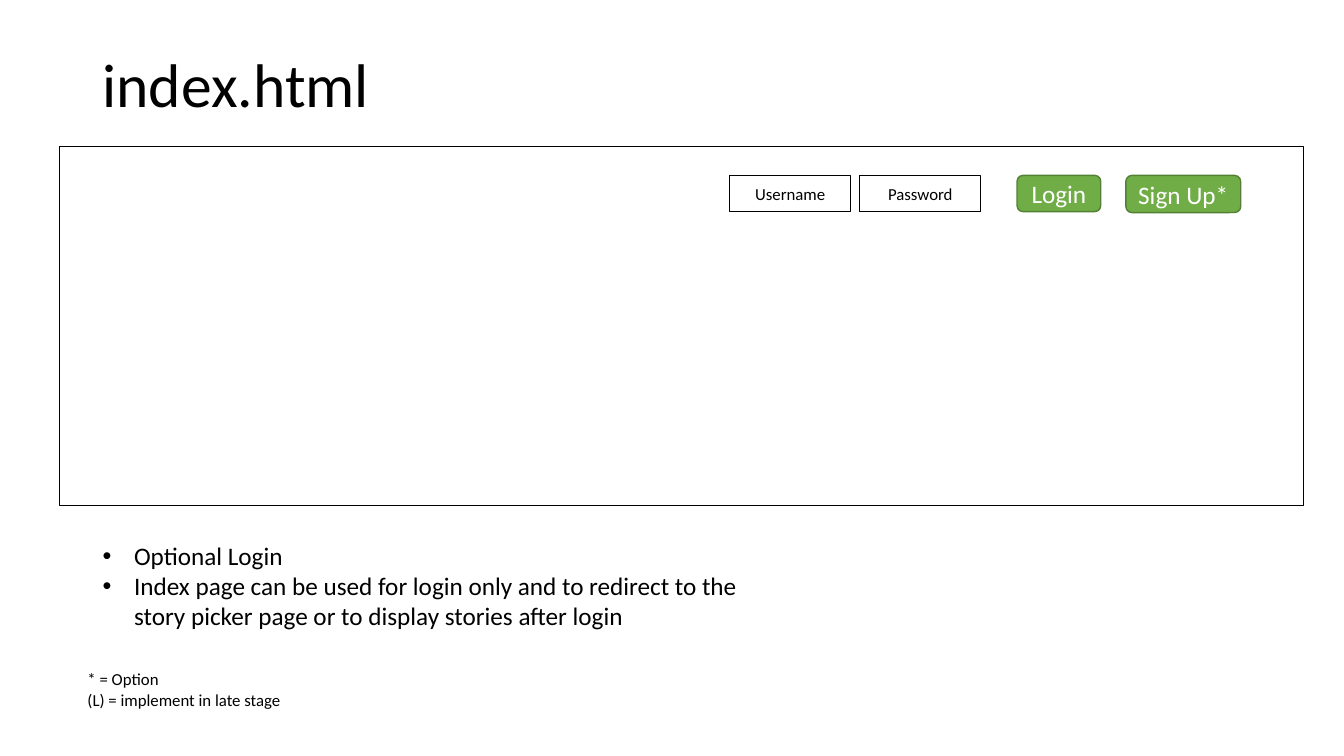
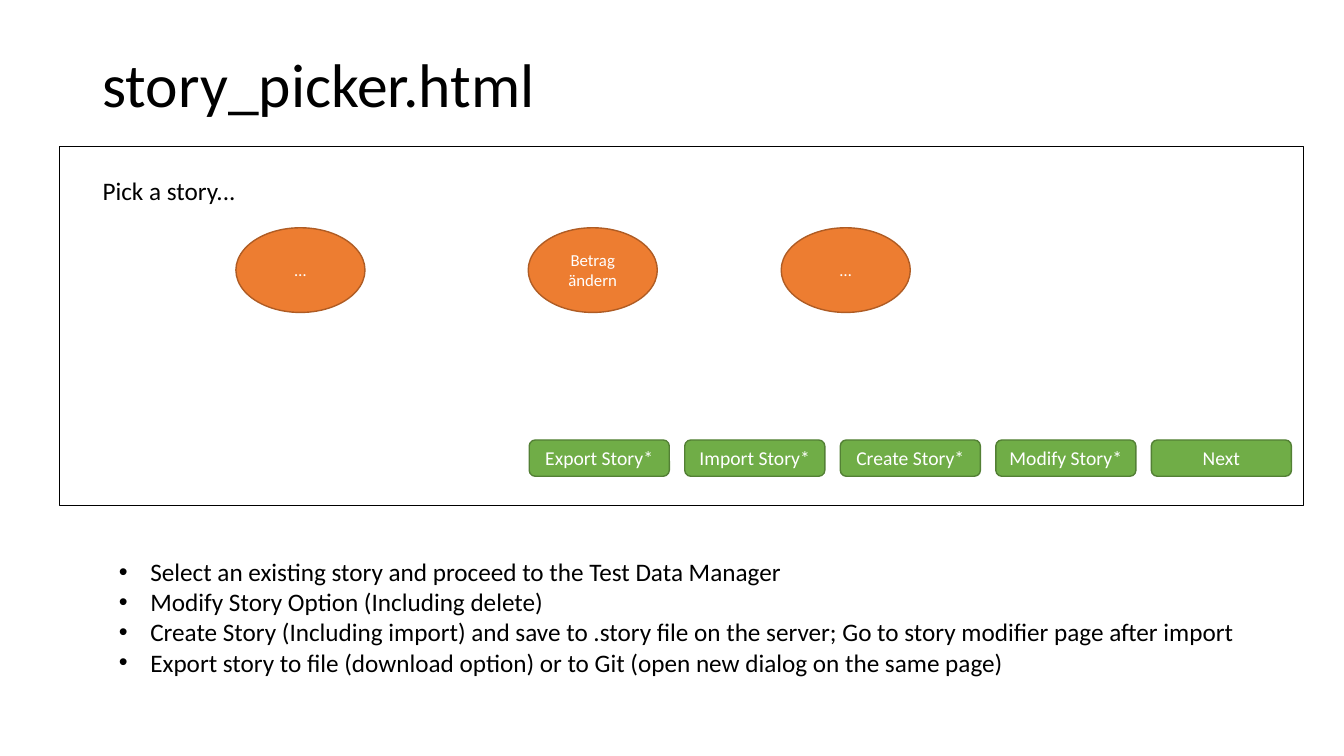
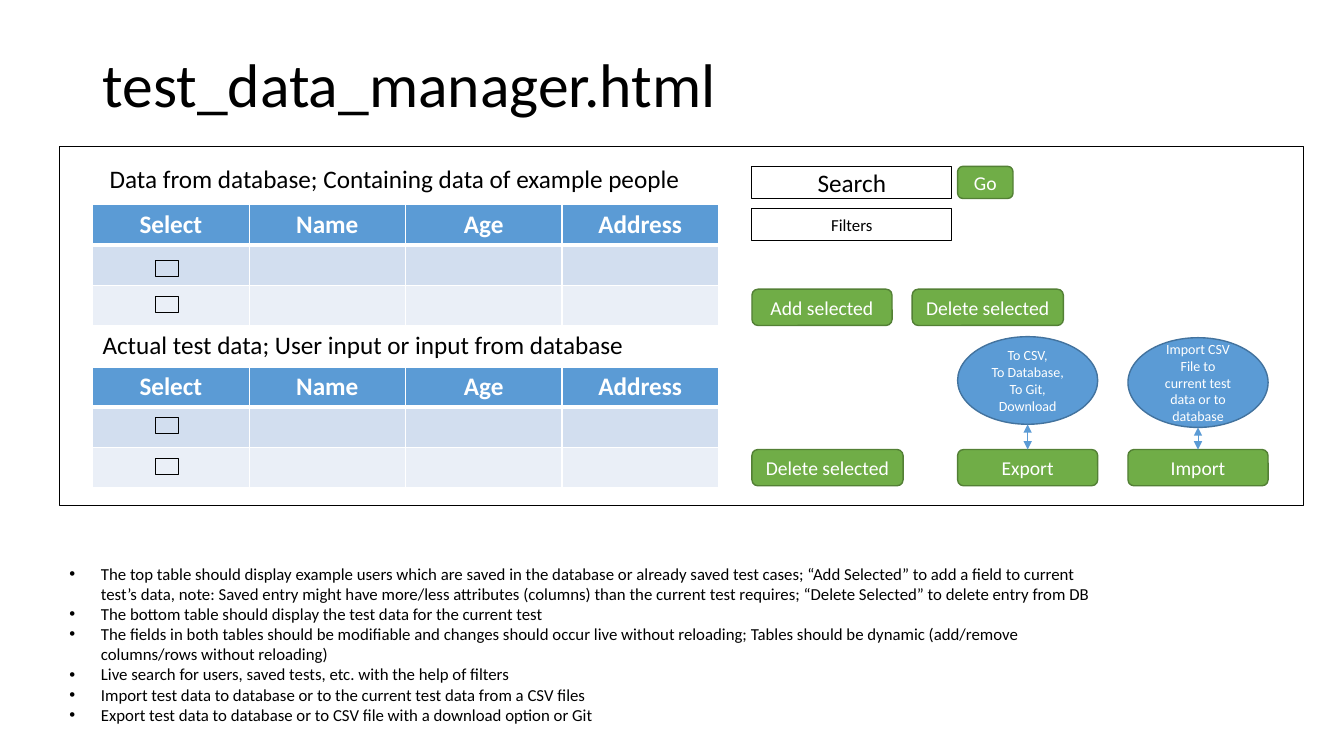
"""Build three wireframe slides for a story and test data web tool."""
from dataclasses import dataclass
from typing import Optional

from lxml import etree
from pptx import Presentation
from pptx import util as u
from pptx.dml.color import RGBColor
from pptx.enum import shapes, text
from pptx.oxml import ns

FONT = "Calibri"
BLACK, WHITE = "000000", "FFFFFF"
GREEN, BLUE, ORANGE = "70AD47", "5B9BD5", "ED7D31"
BODY_FILLS = ("D2DEEF", "EAEFF7")
COLUMNS = ("Select", "Name", "Age", "Address")
COLUMN_WIDTH, ROW_HEIGHT = 111.75, 28.8
BULLET_INDENT = 22.5
BUTTON_WIDTH, BUTTON_HEIGHT = 100.1, 25.9
PRESETS = shapes.MSO_SHAPE


@dataclass(frozen=True)
class Look:
    preset: int
    fill: Optional[str]
    border: str
    weight: float
    ink: str


@dataclass(frozen=True)
class Part:
    look: Look
    wording: str
    left: float
    top: float
    width: float = BUTTON_WIDTH
    height: float = BUTTON_HEIGHT
    size: float = 14


@dataclass(frozen=True)
class Note:
    lines: tuple[str, ...]
    left: float
    top: float
    width: float
    height: float
    size: float = 18
    bullets: bool = False


OUTLINE = Look(PRESETS.RECTANGLE, None, BLACK, 0.75, BLACK)
BUTTON = Look(PRESETS.ROUNDED_RECTANGLE, GREEN, "538035", 1, WHITE)
STORY = Look(PRESETS.OVAL, ORANGE, "AF5C24", 1, WHITE)
HINT = Look(PRESETS.OVAL, BLUE, "43739E", 1, WHITE)


def color(value: str) -> RGBColor:
    return RGBColor.from_string(value)


def box(left: float, top: float, width: float, height: float) -> tuple:
    return tuple(u.Pt(length) for length in (left, top, width, height))


def add_bullet(paragraph) -> None:
    properties = paragraph._p.get_or_add_pPr()
    properties.set("marL", str(u.Pt(BULLET_INDENT)))
    properties.set("indent", str(-u.Pt(BULLET_INDENT)))
    etree.SubElement(properties, ns.qn("a:buFont"), typeface="Arial")
    etree.SubElement(properties, ns.qn("a:buChar"), char="•")


def write(frame, *lines: str, size: float = 18, ink: str = BLACK, bold: bool = False,
          align=text.PP_ALIGN.LEFT, anchor=text.MSO_ANCHOR.TOP,
          spacing: Optional[float] = None, bullets: bool = False) -> None:
    frame.word_wrap = True
    frame.vertical_anchor = anchor
    for index, line in enumerate(lines):
        paragraph = frame.add_paragraph() if index else frame.paragraphs[0]
        paragraph.alignment = align
        if spacing:
            paragraph.line_spacing = spacing
        if bullets:
            add_bullet(paragraph)
        run = paragraph.add_run()
        run.text = line
        run.font.name, run.font.size, run.font.bold = FONT, u.Pt(size), bold
        run.font.color.rgb = color(ink)


def draw_part(slide, part: Part) -> None:
    look = part.look
    shape = slide.shapes.add_shape(
        look.preset, *box(part.left, part.top, part.width, part.height))
    shape.shadow.inherit = False
    if look.fill:
        shape.fill.solid()
        shape.fill.fore_color.rgb = color(look.fill)
    else:
        shape.fill.background()
    shape.line.color.rgb = color(look.border)
    shape.line.width = u.Pt(look.weight)
    if part.wording:
        write(shape.text_frame, *part.wording.split("\n"), size=part.size, ink=look.ink,
              align=text.PP_ALIGN.CENTER, anchor=text.MSO_ANCHOR.MIDDLE)


def draw_note(slide, note: Note) -> None:
    frame = slide.shapes.add_textbox(
        *box(note.left, note.top, note.width, note.height)).text_frame
    write(frame, *note.lines, size=note.size, bullets=note.bullets)
    frame.auto_size = text.MSO_AUTO_SIZE.SHAPE_TO_FIT_TEXT


def draw_all(slide, *items: Part | Note) -> None:
    for item in items:
        if isinstance(item, Part):
            draw_part(slide, item)
        else:
            draw_note(slide, item)


def draw_arrow(slide, x: float, top: float, bottom: float) -> None:
    arrow = slide.shapes.add_connector(
        shapes.MSO_CONNECTOR.STRAIGHT, *box(x, top, x, bottom))
    arrow.line.color.rgb = color(BLUE)
    arrow.line.width = u.Pt(0.5)
    line = arrow.line._get_or_add_ln()
    for end in ("a:headEnd", "a:tailEnd"):
        etree.SubElement(line, ns.qn(end), type="triangle")
    etree.SubElement(arrow._element.spPr, ns.qn("a:effectLst"))


def border_cell(cell, top: float, bottom: float) -> None:
    properties = cell._tc.get_or_add_tcPr()
    edges = (("a:lnL", 1), ("a:lnR", 1), ("a:lnT", top), ("a:lnB", bottom))
    for position, (edge, weight) in enumerate(edges):
        line = etree.Element(ns.qn(edge), w=str(u.Pt(weight)))
        fill = etree.SubElement(line, ns.qn("a:solidFill"))
        etree.SubElement(fill, ns.qn("a:srgbClr"), val=WHITE)
        properties.insert(position, line)


def draw_people_table(slide, left: float, top: float) -> None:
    fills = (BLUE, *BODY_FILLS)
    table = slide.shapes.add_table(
        len(fills), len(COLUMNS),
        *box(left, top, COLUMN_WIDTH * len(COLUMNS), ROW_HEIGHT * len(fills))).table
    table.first_row = table.horz_banding = False
    for column in table.columns:
        column.width = u.Pt(COLUMN_WIDTH)
    for row_index, fill in enumerate(fills):
        table.rows[row_index].height = u.Pt(ROW_HEIGHT)
        for column_index, heading in enumerate(COLUMNS):
            cell = table.cell(row_index, column_index)
            cell.fill.solid()
            cell.fill.fore_color.rgb = color(fill)
            border_cell(cell, top=3 if row_index == 1 else 1,
                        bottom=3 if row_index == 0 else 1)
            if row_index == 0:
                write(cell.text_frame, heading, ink=WHITE, bold=True,
                      align=text.PP_ALIGN.CENTER)


def add_page(deck, title: str):
    slide = deck.slides.add_slide(deck.slide_layouts[6])
    heading = slide.shapes.add_textbox(*box(66.2, 28.8, 828, 67.7))
    write(heading.text_frame, title, size=44, spacing=0.9, anchor=text.MSO_ANCHOR.MIDDLE)
    draw_part(slide, Part(OUTLINE, "", 42.5, 104.4, 888.5, 257))
    return slide


def build_index(deck) -> None:
    slide = add_page(deck, "index.html")
    draw_all(
        slide,
        Part(OUTLINE, "Username", 521.3, 125.3, 86.4, size=12),
        Part(OUTLINE, "Password", 614.2, 125.3, 86.4, size=12),
        Part(BUTTON, "Login", 726.5, 125.3, 59.8, size=18),
        Part(BUTTON, "Sign Up*", 804.2, 125.3, 82.1, 26.6, 18),
        Note(("Optional Login",
              "Index page can be used for login only and to redirect to the story picker "
              "page or to display stories after login"),
             66.2, 382.3, 485.3, 72.7, bullets=True),
        Note(("* = Option", "(L) = implement in late stage"),
             55.4, 474.5, 327.6, 36, size=12),
    )


def build_story_picker(deck) -> None:
    slide = add_page(deck, "story_picker.html")
    actions = ("Export Story*", "Import Story*", "Create Story*", "Modify Story*", "Next")
    stories = (("…", 168.5), ("Betrag ändern", 377.3), ("…", 558))
    draw_all(
        slide,
        Note(("Pick a story...",), 66.2, 121.7, 485.3, 28.8),
        *(Part(STORY, story, left, 162.7, 92.2, 60.5, 12) for story, left in stories),
        *(Part(BUTTON, action, 378 + 111.1 * index, 314.3)
          for index, action in enumerate(actions)),
        Note(("Select an existing story and proceed to the Test Data Manager",
              "Modify Story Option (Including delete)",
              "Create Story (Including import) and save to .story file on the server; "
              "Go to story modifier page after import",
              "Export story to file (download option) or to Git "
              "(open new dialog on the same page)"),
             77.8, 393.8, 835.2, 94.3, bullets=True),
    )


def build_test_data_manager(deck) -> None:
    slide = add_page(deck, "test_data_manager.html")
    tools, transfer, bring_in = 537.1, 684, 805.7
    selection_row, transfer_row = 206.6, 321.1
    for top in (146.2, 262.1):
        draw_people_table(slide, 66.2, top)
    draw_all(
        slide,
        *(Part(OUTLINE, "", 110.9, top, 16.6, 11.5)
          for top in (185.8, 211.7, 298.1, 327.6)),
        Note(("Data from database; Containing data of example people",),
             71.3, 113, 436.3, 28.8),
        Note(("Actual test data; User input or input from database",),
             66.2, 231.8, 436.3, 28.8),
        Part(OUTLINE, "Search", tools, 118.8, 142.6, 23, 18),
        Part(BUTTON, "Go", transfer, 118.8, 39.6, 23),
        Part(OUTLINE, "Filters", tools, 149, 142.6, 23, 12),
        Part(BUTTON, "Add selected", tools, selection_row),
        Part(BUTTON, "Delete selected", 651.6, selection_row, 108),
        Part(BUTTON, "Delete selected", tools, transfer_row, 108),
        Part(BUTTON, "Export", transfer, transfer_row),
        Part(BUTTON, "Import", bring_in, transfer_row),
    )
    hints = (
        Part(HINT, "To CSV,\nTo Database,\nTo Git, Download",
             transfer, 240.5, height=62.6, size=10),
        Part(HINT, "Import CSV File to current test data or to database",
             bring_in, 241.2, height=64.1, size=10),
    )
    for hint in hints:
        draw_part(slide, hint)
        draw_arrow(slide, hint.left + hint.width / 2, hint.top + hint.height, transfer_row)
    draw_note(slide, Note(
        ("The top table should display example users which are saved in the database or "
         "already saved test cases; “Add Selected” to add a field to current test’s data, "
         "note: Saved entry might have more/less attributes (columns) than the current test "
         "requires; “Delete Selected” to delete entry from DB",
         "The bottom table should display the test data for the current test",
         "The fields in both tables should be modifiable and changes should occur live "
         "without reloading; Tables should be dynamic (add/remove columns/rows without "
         "reloading)",
         "Live search for users, saved tests, etc. with the help of filters",
         "Import test data to database or to the current test data from a CSV files",
         "Export test data to database or to CSV file with a download option or Git"),
        42.5, 398.9, 748.1, 123.8, size=12, bullets=True))


def main() -> None:
    deck = Presentation()
    deck.slide_width, deck.slide_height = u.Pt(960), u.Pt(540)
    for build in (build_index, build_story_picker, build_test_data_manager):
        build(deck)
    deck.save("out.pptx")


main()
